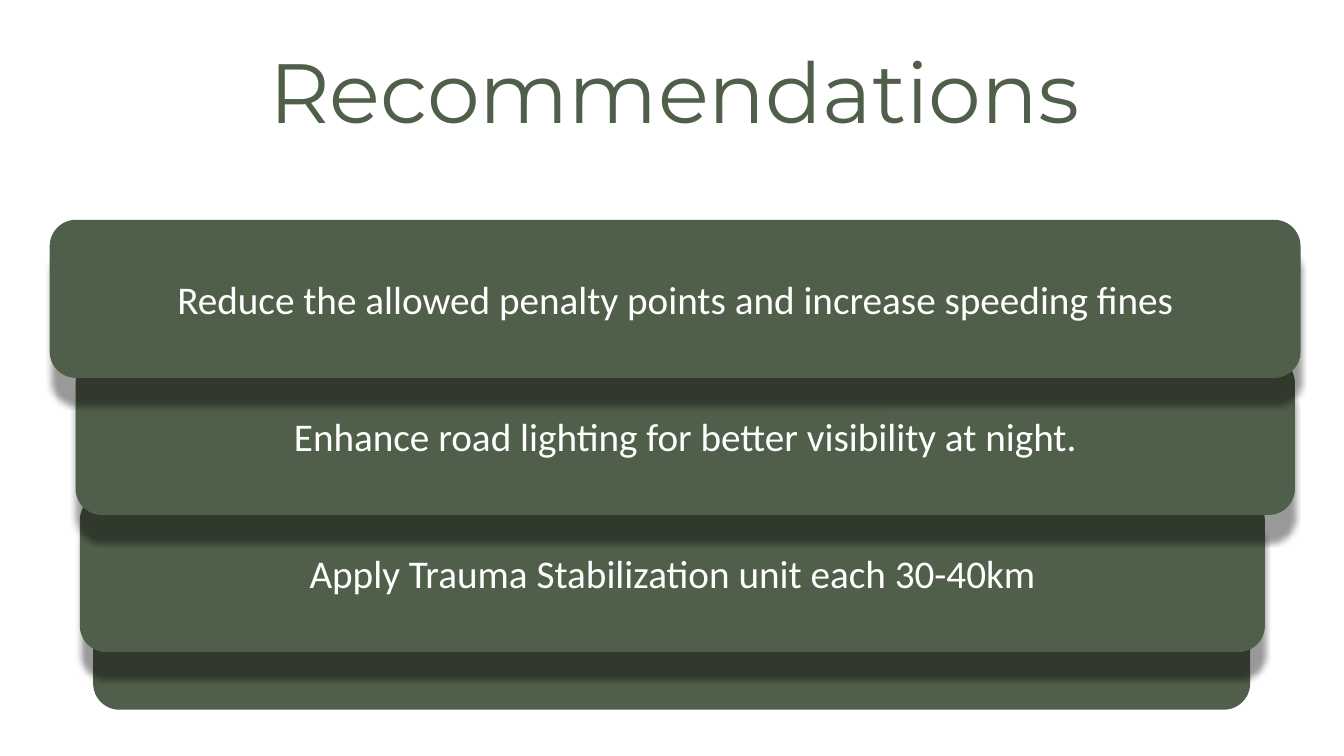
import pptx
import pptx.dml.color
import pptx.enum.shapes
import pptx.enum.text
import pptx.oxml.ns
import pptx.util
from lxml import etree

Pt = pptx.util.Pt
qn = pptx.oxml.ns.qn
Align = pptx.enum.text.PP_ALIGN
Anchor = pptx.enum.text.MSO_ANCHOR

HUES = {"green": "505F49", "white": "FFFFFF", "shade": "000000"}


class Deck:
    """Holds the style and the current slide."""

    head = "Montserrat"
    body = "Calibri"

    def __init__(self, wide, high):
        self.show = pptx.Presentation()
        self.show.slide_width = Pt(wide)
        self.show.slide_height = Pt(high)
        self.slide = self.show.slides.add_slide(self.show.slide_layouts[5])

    def hue(self, name):
        return pptx.dml.color.RGBColor.from_string(HUES[name])

    def run(self, para, text, face, size, hue):
        run = para.add_run()
        run.text = text
        run.font.name = face
        run.font.size = Pt(size)
        run.font.color.rgb = self.hue(hue)

    def title(self, text, left, top, wide, high):
        box = self.slide.shapes.title
        box.left, box.top = Pt(left), Pt(top)
        box.width, box.height = Pt(wide), Pt(high)
        frame = box.text_frame
        frame.word_wrap = True
        frame.auto_size = pptx.enum.text.MSO_AUTO_SIZE.SHAPE_TO_FIT_TEXT
        frame.vertical_anchor = Anchor.TOP
        para = frame.paragraphs[0]
        para.alignment = Align.LEFT
        self.run(para, text, self.head, 60, "green")

    def card(self, text, left, top, wide, high):
        kind = pptx.enum.shapes.MSO_SHAPE.ROUNDED_RECTANGLE
        card = self.slide.shapes.add_shape(
            kind, Pt(left), Pt(top), Pt(wide), Pt(high))
        card.fill.solid()
        card.fill.fore_color.rgb = self.hue("green")
        card.line.fill.background()
        card.shadow.inherit = False
        if text:
            self.shade(card)
            frame = card.text_frame
            frame.word_wrap = True
            frame.vertical_anchor = Anchor.MIDDLE
            para = frame.paragraphs[0]
            para.alignment = Align.CENTER
            self.run(para, text, self.body, 28, "white")

    def shade(self, card):
        # Soft shadow straight below the card
        root = card._element.spPr.find(qn("a:effectLst"))
        glow = etree.SubElement(
            root, qn("a:outerShdw"), blurRad=str(Pt(4)), dist=str(Pt(19)),
            dir="5400000", algn="t", rotWithShape="0")
        tone = etree.SubElement(glow, qn("a:srgbClr"), val=HUES["shade"])
        etree.SubElement(tone, qn("a:alpha"), val="40000")

    def save(self):
        self.show.save("out.pptx")


def main():
    deck = Deck(960, 540)

    # Title
    deck.title("Recommendations", 185, 24.5, 643, 80)

    # Stack of cards, from the front one down: text, left, width
    cards = [
        ("Reduce the allowed penalty points and increase speeding fines",
         35.5, 893.5),
        ("Enhance road lighting for better visibility at night.", 54, 871),
        ("Apply Trauma Stabilization unit each 30-40km", 57, 846.5),
    ]
    first, step, high = 157, 97.9, 113

    # Plain base at the back, then the cards from back to front
    deck.card("", 66.5, 394, 826.5, high)
    for rank, (text, left, wide) in reversed(list(enumerate(cards))):
        deck.card(text, left, first + rank * step, wide, high)

    deck.save()


if __name__ == "__main__":
    main()
